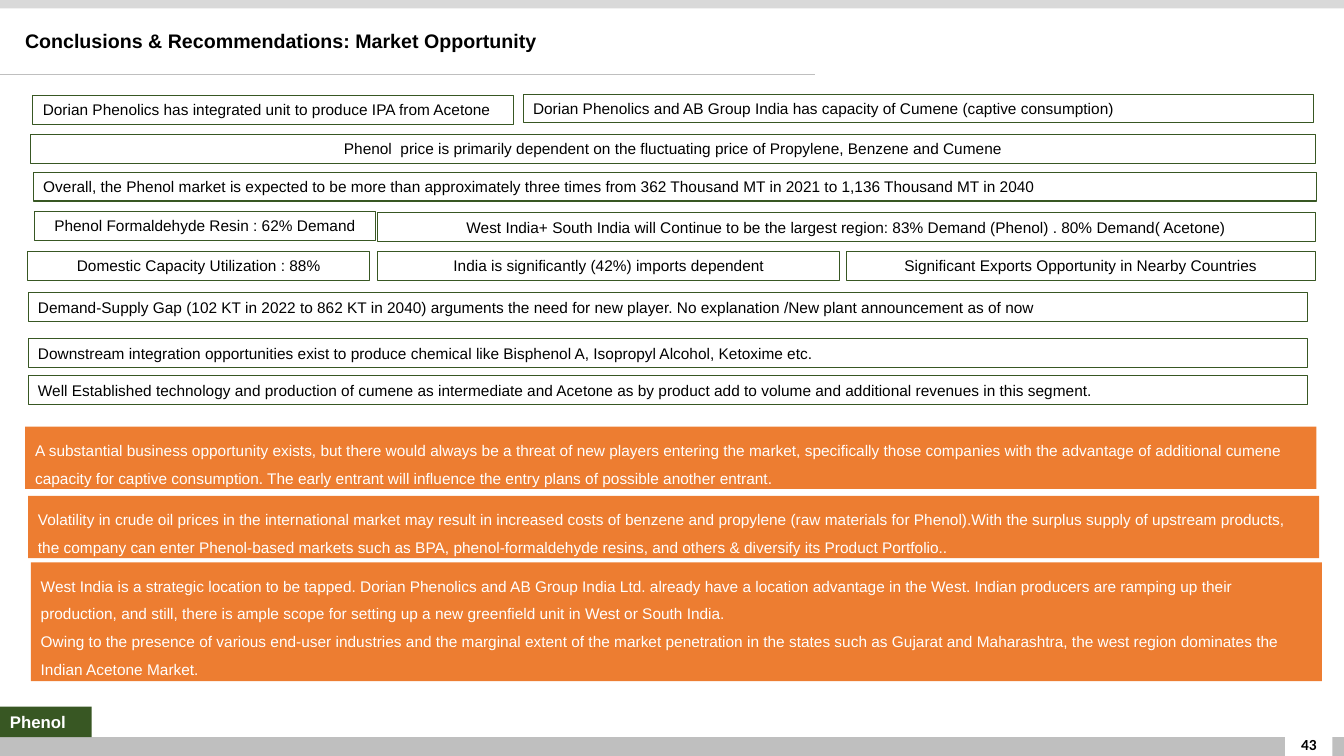
"""Builds the market opportunity conclusions slide for phenol."""
from pptx import Presentation
from pptx.dml.color import RGBColor
from pptx.enum.shapes import MSO_CONNECTOR, MSO_SHAPE
from pptx.enum.text import MSO_ANCHOR, MSO_AUTO_SIZE, PP_ALIGN
from pptx.oxml.ns import qn
from pptx.util import Pt

LEFT, CENTER = PP_ALIGN.LEFT, PP_ALIGN.CENTER
TOP, MIDDLE = MSO_ANCHOR.TOP, MSO_ANCHOR.MIDDLE
GROW, FIXED = MSO_AUTO_SIZE.SHAPE_TO_FIT_TEXT, MSO_AUTO_SIZE.NONE
RECTANGLE, STRAIGHT = MSO_SHAPE.RECTANGLE, MSO_CONNECTOR.STRAIGHT

BLACK, WHITE, GREEN, ORANGE = "000000", "FFFFFF", "385723", "ED7D31"
GREY, LIGHT_GREY = "BFBFBF", "D9D9D9"
FINDING_HEIGHT = 20.6

TITLE = "Conclusions & Recommendations: Market Opportunity"
BANDS = [
    (-3.6, 526.5, 964.8, 13.5, GREY),
    (0, 0, 962, 6, LIGHT_GREY),
    (918, 513, 33.8, 27, WHITE),
]
FINDINGS = [
    (23.5, 68, 343.5, LEFT, "Dorian Phenolics has integrated unit to produce IPA from Acetone"),
    (373.7, 67.2, 564.5, LEFT,
     "Dorian Phenolics and AB Group India has capacity of Cumene (captive consumption)"),
    (22, 96, 918, CENTER,
     "Phenol  price is primarily dependent on the fluctuating price of Propylene, Benzene and Cumene"),
    (23.8, 123, 916.6, LEFT,
     "Overall, the Phenol market is expected to be more than approximately three times "
     "from 362 Thousand MT in 2021 to 1,136 Thousand MT in 2040"),
    (24.5, 151, 244, CENTER, "Phenol Formaldehyde Resin : 62% Demand"),
    (270, 152, 669.6, CENTER,
     "West India+ South India will Continue to be the largest region: "
     "83% Demand (Phenol) . 80% Demand( Acetone)"),
    (20, 179.7, 244, CENTER, "Domestic Capacity Utilization : 88%"),
    (270, 179.7, 330, CENTER, "India is significantly (42%) imports dependent"),
    (604.5, 179.7, 335.2, CENTER, "Significant Exports Opportunity in Nearby Countries"),
    (20, 209.2, 913.7, LEFT,
     "Demand-Supply Gap (102 KT in 2022 to 862 KT in 2040) arguments the need for new player. "
     "No explanation /New plant announcement as of now"),
    (20, 242, 913.7, LEFT,
     "Downstream integration opportunities exist to produce chemical like Bisphenol A, "
     "Isopropyl Alcohol, Ketoxime etc."),
    (20, 268.5, 913.7, LEFT,
     "Well Established technology and production of cumene as intermediate and Acetone as "
     "by product add to volume and additional revenues in this segment."),
]
RECOMMENDATIONS = [
    (18, 304.8, 44.5, [
        "A substantial business opportunity exists, but there would always be a threat of new "
        "players entering the market, specifically those companies with the advantage of "
        "additional cumene capacity for captive consumption. The early entrant will influence "
        "the entry plans of possible another entrant."]),
    (20, 354.2, 44.5, [
        "Volatility in crude oil prices in the international market may result in increased "
        "costs of benzene and propylene (raw materials for Phenol).With the surplus supply of "
        "upstream products, the company can enter Phenol-based markets such as BPA, "
        "phenol-formaldehyde resins, and others & diversify its Product Portfolio.."]),
    (22, 401.8, 84.7, [
        "West India is a strategic location to be tapped. Dorian Phenolics and AB Group India "
        "Ltd. already have a location advantage in the West. Indian producers are ramping up "
        "their production, and still, there is ample scope for setting up a new greenfield "
        "unit in West or South India.",
        "Owing to the presence of various end-user industries and the marginal extent of the "
        "market penetration in the states such as Gujarat and Maharashtra, the west region "
        "dominates the Indian Acetone Market."]),
]


def rgb(code):
    """Turn a hex string into a colour."""
    return RGBColor.from_string(code)


def add_box(slide, left, top, width, height, fill=None, line=None):
    """Add a flat rectangle with optional fill and outline."""
    box = slide.shapes.add_shape(RECTANGLE, Pt(left), Pt(top), Pt(width), Pt(height))
    box.shadow.inherit = False
    if fill:
        box.fill.solid()
        box.fill.fore_color.rgb = rgb(fill)
    else:
        box.fill.background()
    if line:
        box.line.color.rgb = rgb(line)
        box.line.width = Pt(0.75)
    else:
        box.line.fill.background()
    return box


def write(shape, paragraphs, size=11, color=BLACK, bold=False, align=LEFT,
          spacing=1.0, anchor=TOP, fit=GROW, font="Arial"):
    """Fill a shape with formatted paragraphs."""
    frame = shape.text_frame
    frame.text = "\n".join(paragraphs)
    frame.word_wrap = True
    frame.auto_size = fit
    frame.vertical_anchor = anchor
    for paragraph in frame.paragraphs:
        paragraph.alignment = align
        paragraph.line_spacing = spacing
        for run in paragraph.runs:
            run.font.name = font
            run.font.size = Pt(size)
            run.font.bold = bold
            run.font.color.rgb = rgb(color)


def add_text(slide, left, top, width, height, text, **style):
    """Add a vertically centred bold text box."""
    box = slide.shapes.add_textbox(Pt(left), Pt(top), Pt(width), Pt(height))
    write(box, [text], bold=True, anchor=MIDDLE, fit=FIXED, **style)


def main():
    """Build and save the slide."""
    deck = Presentation()
    deck.slide_width, deck.slide_height = Pt(960), Pt(540)
    slide = deck.slides.add_slide(deck.slide_layouts[6])

    for left, top, width, height, fill in BANDS:
        add_box(slide, left, top, width, height, fill)
    add_text(slide, 911.5, 517, 46.8, 28.8, "43", align=CENTER, font="Calibri")

    rule = slide.shapes.add_connector(STRAIGHT, Pt(0), Pt(53.2), Pt(582.4), Pt(53.2))
    rule.line.color.rgb = rgb(GREY)
    rule.line.width = Pt(0.5)
    properties = rule._element.spPr
    properties.append(properties.makeelement(qn("a:effectLst"), {}))
    add_text(slide, 10.8, 12.2, 584, 36, TITLE, size=14, spacing=0.9)

    for left, top, width, align, finding in FINDINGS:
        box = add_box(slide, left, top, width, FINDING_HEIGHT, line=GREEN)
        write(box, [finding], align=align)
    for left, top, height, advice in RECOMMENDATIONS:
        box = add_box(slide, left, top, 922.3, height, ORANGE)
        write(box, advice, color=WHITE, spacing=1.5)

    product_tag = add_box(slide, 0, 504.8, 65.5, 21.8, GREEN)
    write(product_tag, ["Phenol"], size=12, color=WHITE, bold=True)
    deck.save("out.pptx")


if __name__ == "__main__":
    main()
